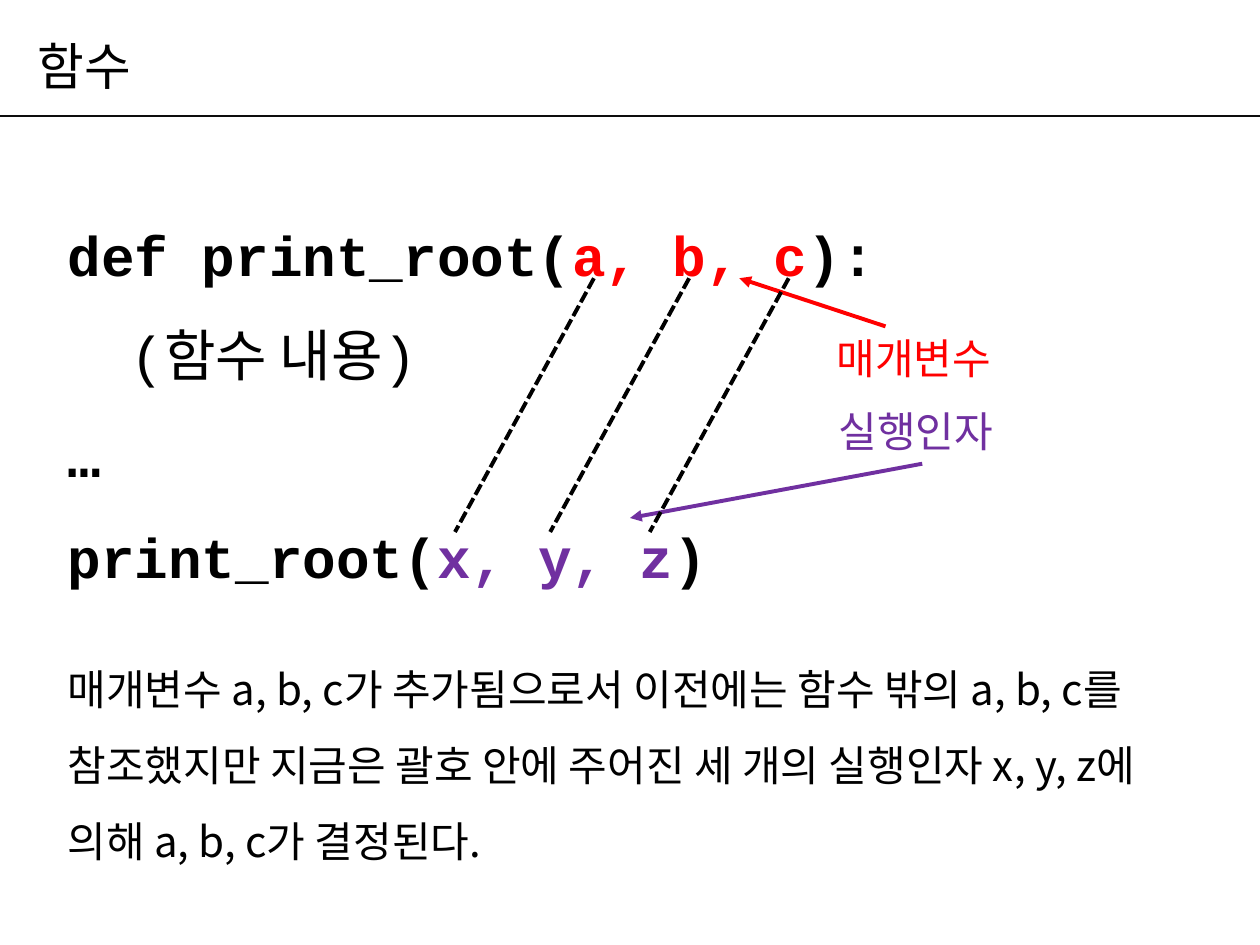
from pptx import Presentation
from pptx.dml.color import RGBColor
from pptx.enum.dml import MSO_LINE
from pptx.enum.shapes import MSO_CONNECTOR
from pptx.enum.text import MSO_ANCHOR
from pptx.oxml.ns import qn
from pptx.util import Pt
from lxml import etree

BLACK = RGBColor(0x00, 0x00, 0x00)
RULE = RGBColor(0x0D, 0x0D, 0x0D)
RED = RGBColor(0xFF, 0x00, 0x00)
PURPLE = RGBColor(0x70, 0x30, 0xA0)
KOREAN = "Noto Sans CJK KR"
CODE = "Courier New"

prs = Presentation()
prs.slide_width, prs.slide_height = Pt(720), Pt(540)
slide = prs.slides.add_slide(prs.slide_layouts[6])


def add_text(box, lines, size, font, spacing=1.0):
    """Add a text box; each line is a list of (text, color, bold) runs."""
    frame = slide.shapes.add_textbox(*map(Pt, box)).text_frame
    frame.word_wrap = True
    for number, line in enumerate(lines):
        paragraph = frame.paragraphs[0] if number == 0 else frame.add_paragraph()
        paragraph.line_spacing = spacing
        paragraph.font.size = Pt(size)
        paragraph.font.name = font
        defaults = paragraph._p.pPr.find(qn("a:defRPr"))
        etree.SubElement(defaults, qn("a:ea"), typeface=KOREAN)
        for text, color, bold in line:
            run = paragraph.add_run()
            run.text = text
            run.font.color.rgb = color
            run.font.bold = bold
    return frame


def add_line(start, end, color, width=2.25, dashed=False, arrow=False):
    line = slide.shapes.add_connector(
        MSO_CONNECTOR.STRAIGHT, *map(Pt, (*start, *end)))
    line.line.color.rgb = color
    line.line.width = Pt(width)
    properties = line._element.spPr
    if dashed:
        line.line.dash_style = MSO_LINE.SQUARE_DOT
    if arrow:
        etree.SubElement(properties.find(qn("a:ln")), qn("a:tailEnd"), type="triangle")
    etree.SubElement(properties, qn("a:effectLst"))


# Title and rule
add_line((0, 66.3), (720, 66.3), RULE, width=1.5)
title = add_text((14.4, 15.1, 607, 44), [[("함수", BLACK, False)]], 29, KOREAN)
title.vertical_anchor = MSO_ANCHOR.MIDDLE

# Function definition and call
add_text((31.5, 103, 495.5, 240), [
    [("def print_root(", BLACK, True), ("a, b, c", RED, True), ("):", BLACK, True)],
    [("\t", BLACK, True), ("(함수 내용)", BLACK, False)],
    [("…", BLACK, True)],
    [("print_root(", BLACK, True), ("x, y, z", PURPLE, True), (")", BLACK, True)],
], 32, CODE, spacing=1.5)

# Labels with arrows to parameters and arguments
add_line((506, 186.5), (422.5, 159), RED, arrow=True)
add_line((527, 265), (360, 296), PURPLE, arrow=True)
add_text((471, 186.5, 118, 36), [[("매개변수", RED, False)]], 24, KOREAN)
add_text((472, 228, 118, 36), [[("실행인자", PURPLE, False)]], 24, KOREAN)

# Dashed links from each parameter to its argument
for parameter_x in (339.4, 393.8, 450.7):
    add_line((parameter_x, 159), (parameter_x - 79.4, 304), BLACK, dashed=True)

# Explanation
add_text((31.5, 361.5, 637, 132.5), [[(
    "매개변수 a, b, c가 추가됨으로서 이전에는 함수 밖의 a, b, c를 참조했지만 "
    "지금은 괄호 안에 주어진 세 개의 실행인자 x, y, z에 의해 a, b, c가 결정된다.",
    BLACK, False)]], 24, KOREAN, spacing=1.5)

prs.save("out.pptx")
